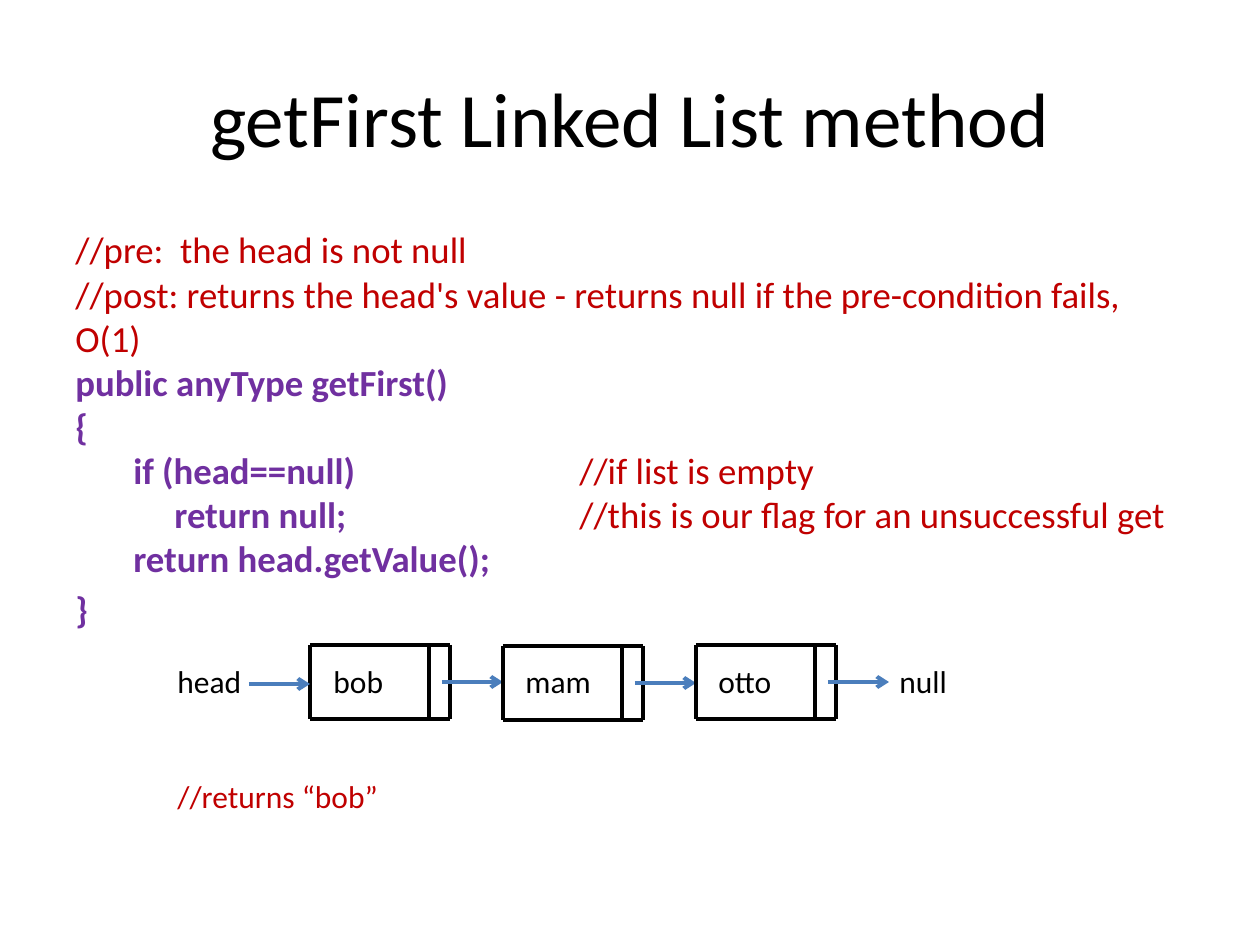
from dataclasses import dataclass

from lxml.etree import SubElement
from pptx import Presentation
from pptx.dml.color import RGBColor
from pptx.enum.shapes import MSO_CONNECTOR
from pptx.enum.text import MSO_ANCHOR, PP_ALIGN
from pptx.oxml.ns import qn
from pptx.util import Emu, Pt

BLACK = RGBColor(0x00, 0x00, 0x00)
RED = RGBColor(0xC0, 0x00, 0x00)
PURPLE = RGBColor(0x70, 0x30, 0xA0)
BLUE = RGBColor(0x4B, 0x7E, 0xBC)
FONT = "Calibri"
PIXELS_PER_INCH = 126


@dataclass(frozen=True)
class Run:
    text: str
    color: RGBColor = BLACK
    bold: bool = False


@dataclass(frozen=True)
class Line:
    runs: tuple[Run, ...]
    space_before: float = 0


@dataclass(frozen=True)
class Node:
    left: int
    top: int
    width: int = 140
    height: int = 74
    divider: int = 119
    arrow_start: int = 132
    arrow_drop: int = 37


def px(value: int) -> Emu:
    return Emu(round(value * 914400 / PIXELS_PER_INCH))


def add_text(
    slide,
    box: tuple[int, int, int, int],
    lines: list[Line],
    size: int,
    tabs: tuple[int, ...] = (),
    align: PP_ALIGN = PP_ALIGN.LEFT,
    anchor: MSO_ANCHOR = MSO_ANCHOR.TOP,
    line_spacing: float | None = None,
) -> None:
    frame = slide.shapes.add_textbox(*map(px, box)).text_frame
    frame.word_wrap = True
    frame.vertical_anchor = anchor
    for index, line in enumerate(lines):
        paragraph = frame.add_paragraph() if index else frame.paragraphs[0]
        paragraph.alignment = align
        paragraph.space_before = Pt(line.space_before)
        if line_spacing:
            paragraph.line_spacing = Pt(line_spacing)
        if tabs:
            tab_list = SubElement(paragraph._p.get_or_add_pPr(), qn("a:tabLst"))
            for position in tabs:
                SubElement(tab_list, qn("a:tab"), pos=str(px(position)), algn="l")
        for item in line.runs:
            run = paragraph.add_run()
            run.text = item.text
            run.font.name = FONT
            run.font.size = Pt(size)
            run.font.bold = item.bold
            run.font.color.rgb = item.color


def add_line(
    slide,
    start: tuple[int, int],
    end: tuple[int, int],
    color: RGBColor = BLACK,
    arrow: bool = False,
) -> None:
    connector = slide.shapes.add_connector(
        MSO_CONNECTOR.STRAIGHT, *map(px, start + end)
    )
    connector.line.color.rgb = color
    connector.line.width = Pt(2.25)
    if arrow:
        SubElement(connector.line._get_or_add_ln(), qn("a:tailEnd"), type="arrow")
    SubElement(connector._element.spPr, qn("a:effectLst"))


def add_node(slide, node: Node, pitch: int) -> None:
    right = node.left + node.width
    bottom = node.top + node.height
    for y in (node.top, bottom):
        add_line(slide, (node.left, y), (right, y))
    for x in (node.left, node.left + node.divider, right):
        add_line(slide, (x, node.top), (x, bottom))
    y = node.top + node.arrow_drop
    add_line(
        slide, (node.left + node.arrow_start, y), (node.left + pitch, y), BLUE, True
    )


def comment(text: str) -> Run:
    return Run(text, RED)


def code(text: str) -> Run:
    return Run(text, PURPLE, True)


CODE_LINES = [
    Line((comment("//pre:  the head is not null"),)),
    Line((
        comment(
            "//post: returns the head's value - returns null "
            "if the pre-condition fails, O(1)"
        ),
    )),
    Line((code("public anyType getFirst()"),)),
    Line((code("{"),)),
    Line((code("\tif (head==null)\t"), comment("//if list is empty"))),
    Line((
        code("\t\treturn null;\t"),
        comment("//this is our flag for an unsuccessful get"),
    )),
    Line((code("\treturn head.getValue();"),)),
    Line((code("}"),), space_before=4),
]
LIST_LINES = [
    Line((Run("head\tbob\tmam\totto\tnull"),)),
    Line((comment("//returns “bob”"),), space_before=44),
]
PITCH = 193
FIRST_LEFT = 310
NODE_TOPS = (645, 646, 645)

presentation = Presentation()
presentation.slide_width = px(1260)
presentation.slide_height = px(945)
slide = presentation.slides.add_slide(presentation.slide_layouts[6])

add_text(
    slide,
    (63, 38, 1134, 157),
    [Line((Run("getFirst Linked List method"),))],
    44,
    align=PP_ALIGN.CENTER,
    anchor=MSO_ANCHOR.MIDDLE,
)
add_text(
    slide, (63, 221, 1134, 624), CODE_LINES, 21, tabs=(58, 99, 504), line_spacing=25.2
)
for index, top in enumerate(NODE_TOPS):
    add_node(slide, Node(FIRST_LEFT + index * PITCH, top), PITCH)
add_line(slide, (249, 684), (FIRST_LEFT, 684), BLUE, True)
add_text(slide, (165, 656, 811, 204), LIST_LINES, 18, tabs=(156, 348, 541, 722))

presentation.save("out.pptx")
